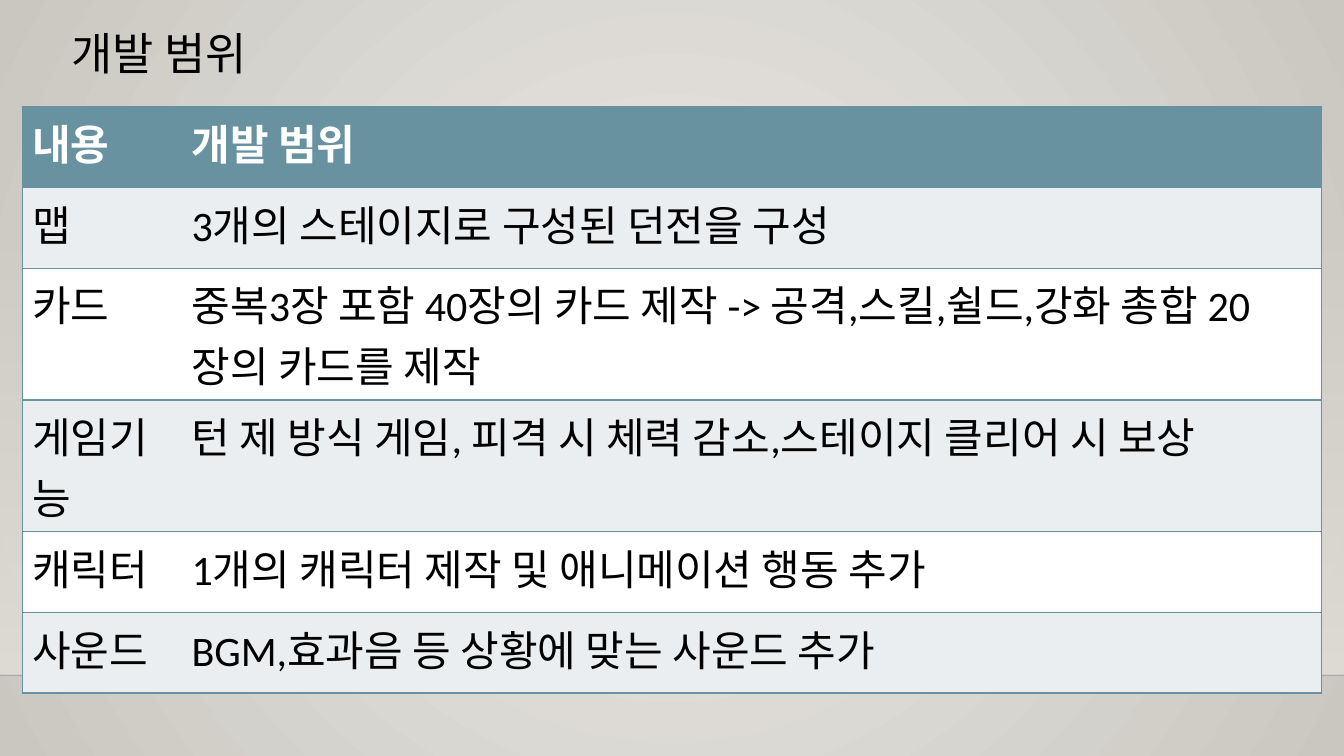
from dataclasses import dataclass

from lxml import etree
from pptx import Presentation
from pptx.dml import color
from pptx.enum import shapes, text
from pptx.oxml import ns
from pptx.util import Inches, Pt


@dataclass(frozen=True)
class Theme:
    font: str = "Calibri"
    title_size: int = 32
    table_size: int = 30
    ink: str = "000000"
    white: str = "FFFFFF"
    teal: str = "6892A0"
    band: str = "EBEEF0"
    floor: str = "DFDBD5"
    glow: str = "ECEAE7"
    edge: str = "CAC7C1"


THEME = Theme()
NO_GRID_STYLE = "{2D5ABB26-0587-4C30-8999-92F81FD0307C}"
SCOPE_ROWS = [
    ("내용", "개발 범위"),
    ("맵", "3개의 스테이지로 구성된 던전을 구성"),
    ("카드", "중복3장 포함 40장의 카드 제작 -> 공격,스킬,쉴드,강화 총합 20장의 카드를 제작"),
    ("게임기능", "턴 제 방식 게임, 피격 시 체력 감소,스테이지 클리어 시 보상"),
    ("캐릭터", "1개의 캐릭터 제작 및 애니메이션 행동 추가"),
    ("사운드", "BGM,효과음 등 상황에 맞는 사운드 추가"),
]


def rgb(value):
    return color.RGBColor.from_string(value)


def drawing_xml(markup):
    """Parse one DrawingML element, adding its namespace."""
    tag, rest = markup[1:].split(">", 1) if " " not in markup.split(">")[0] else markup[1:].split(" ", 1)
    joiner = ">" if markup[len(tag) + 1] == ">" else " "
    return etree.fromstring(f"<{tag} {ns.nsdecls('a')}{joiner}{rest}")


def set_gradient(parent, start, end, direction, start_alpha=100):
    """Replace the solid fill inside parent with a two-stop gradient."""
    solid = next(parent.iter(ns.qn("a:solidFill")))
    gradient = drawing_xml(
        '<a:gradFill rotWithShape="1"><a:gsLst>'
        f'<a:gs pos="0"><a:srgbClr val="{start}"><a:alpha val="{start_alpha * 1000}"/></a:srgbClr></a:gs>'
        f'<a:gs pos="100000"><a:srgbClr val="{end}"/></a:gs>'
        f"</a:gsLst>{direction}</a:gradFill>")
    solid.getparent().replace(solid, gradient)


def add_run(paragraph, words, size, ink, bold=False):
    run = paragraph.add_run()
    run.text = words
    run.font.name = THEME.font
    run.font.size = Pt(size)
    run.font.bold = bold
    run.font.color.rgb = rgb(ink)


def add_backdrop(slide, left, top, width, height):
    # Round glow behind everything
    slide.background.fill.solid()
    slide.background.fill.fore_color.rgb = rgb(THEME.edge)
    set_gradient(next(slide.element.iter(ns.qn("p:bg"))), THEME.glow, THEME.edge,
                 '<a:path path="circle"><a:fillToRect l="50000" t="50000" r="50000" b="50000"/></a:path>')

    # Wall fading in down to the floor line
    wall = slide.shapes.add_shape(shapes.MSO_SHAPE.RECTANGLE, left, top, width, height)
    wall.shadow.inherit = False
    wall.line.fill.background()
    wall.fill.solid()
    set_gradient(wall.element.spPr, THEME.floor, THEME.floor, '<a:lin ang="5400000" scaled="0"/>', 0)

    # Faint floor line
    floor_line = slide.shapes.add_connector(
        shapes.MSO_CONNECTOR.STRAIGHT, left, top + height, left + width, top + height)
    floor_line.line.width = Pt(1)
    floor_line.line.color.rgb = rgb(THEME.ink)
    line_color = next(floor_line.element.spPr.iter(ns.qn("a:srgbClr")))
    etree.SubElement(line_color, ns.qn("a:alpha"), val="20000")
    etree.SubElement(floor_line.element.spPr, ns.qn("a:effectLst"))


def add_title(slide, left, top, width, height):
    title = slide.shapes.title
    title.left, title.top, title.width, title.height = left, top, width, height
    frame = title.text_frame
    frame.vertical_anchor = text.MSO_ANCHOR.TOP
    frame.auto_size = text.MSO_AUTO_SIZE.NONE
    paragraph = frame.paragraphs[0]
    paragraph.alignment = text.PP_ALIGN.LEFT
    paragraph.line_spacing = 0.9
    add_run(paragraph, "개발 범위", THEME.title_size, THEME.ink)


def set_borders(cell, sides):
    properties = cell._tc.get_or_add_tcPr()
    for position, side in enumerate(sides):
        properties.insert(position, drawing_xml(
            f'<a:ln{side} w="12700"><a:solidFill><a:srgbClr val="{THEME.teal}"/></a:solidFill></a:ln{side}>'))


def add_scope_table(slide, left, top, width, height):
    frame = slide.shapes.add_table(len(SCOPE_ROWS), 2, left, top, width, height)
    table = frame.table
    next(frame.element.iter(ns.qn("a:tableStyleId"))).text = NO_GRID_STYLE
    table.columns[0].width = Inches(1.58)
    table.columns[1].width = width - Inches(1.58)

    for row_index, words in enumerate(SCOPE_ROWS):
        header = row_index == 0
        table.rows[row_index].height = height // len(SCOPE_ROWS)
        fill = THEME.teal if header else THEME.band if row_index % 2 else THEME.white
        for column_index, outer_side in enumerate("LR"):
            cell = table.cell(row_index, column_index)
            cell.fill.solid()
            cell.fill.fore_color.rgb = rgb(fill)
            set_borders(cell, (outer_side, "T", "B"))
            add_run(cell.text_frame.paragraphs[0], words[column_index], THEME.table_size,
                    THEME.white if header else THEME.ink, header)


def build():
    presentation = Presentation()
    presentation.slide_width = Inches(13.33)
    presentation.slide_height = Inches(7.5)
    slide = presentation.slides.add_slide(presentation.slide_layouts[5])
    add_backdrop(slide, 0, Inches(2.21), presentation.slide_width, Inches(4.49))
    add_title(slide, Inches(0.61), Inches(0.27), Inches(10.5), Inches(1.15))
    add_scope_table(slide, Inches(0.22), Inches(1.06), Inches(12.89), Inches(4.8))
    presentation.save("out.pptx")


build()
